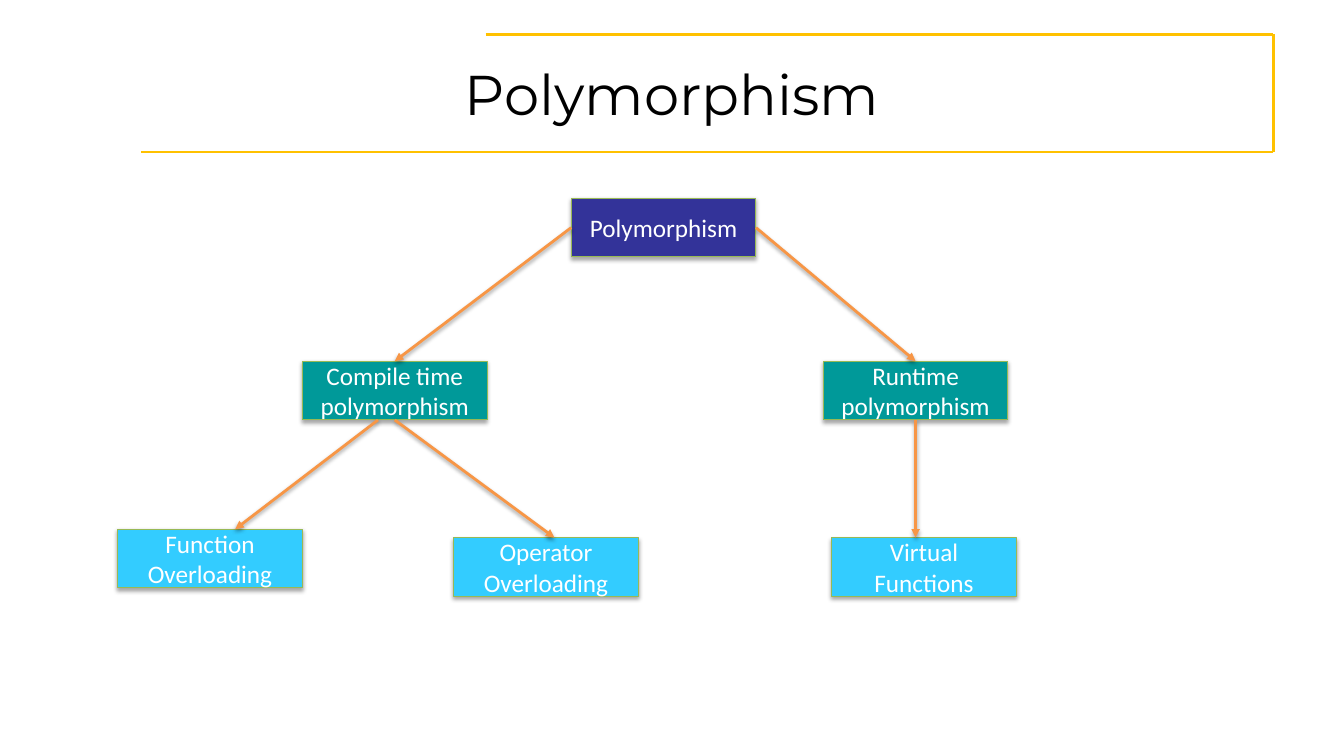
from dataclasses import dataclass

from lxml.etree import SubElement
from pptx import Presentation
from pptx.dml.color import RGBColor
from pptx.enum.shapes import MSO_CONNECTOR as Connector, MSO_SHAPE as Preset
from pptx.enum.text import MSO_ANCHOR as Anchor, PP_ALIGN as Align
from pptx.oxml.ns import qn
from pptx.slide import Slide
from pptx.text.text import TextFrame
from pptx.util import Inches, Length, Pt

COLUMNS, ROWS = 160, 90
SLIDE_WIDTH, SLIDE_HEIGHT = Inches(13.33), Inches(7.5)


@dataclass(frozen=True)
class Theme:
    heading_font: str = "Montserrat"
    body_font: str = "Calibri"
    heading_size: int = 40
    body_size: int = 18
    ink: str = "000000"
    paper: str = "FFFFFF"
    root: str = "333399"
    branch: str = "009999"
    leaf: str = "33CCFF"
    outline: str = "98B955"
    arrow: str = "F79646"
    frame: str = "FFC100"


@dataclass(frozen=True)
class Shadow:
    opacity: int
    blur: float
    distance: float


@dataclass(frozen=True)
class Concept:
    label: str
    column: float
    row: float
    fill: str


@dataclass(frozen=True)
class Stroke:
    start: tuple[float, float]
    end: tuple[float, float]


THEME = Theme()
BOX_COLUMNS, BOX_ROWS = 22, 7
BOX_SHADOW = Shadow(35, 3.1, 1.8)
ARROW_SHADOW = Shadow(38, 3.1, 1.6)

CONCEPTS = (
    Concept("Polymorphism", 68, 23.6, THEME.root),
    Concept("Compile time polymorphism", 36, 43, THEME.branch),
    Concept("Runtime polymorphism", 98, 43, THEME.branch),
    Concept("Function Overloading", 14, 63, THEME.leaf),
    Concept("Operator Overloading", 54, 64, THEME.leaf),
    Concept("Virtual Functions", 99, 64, THEME.leaf),
)
ARROWS = (
    Stroke((68, 27.1), (47, 43)),
    Stroke((90, 27.1), (109, 43)),
    Stroke((45, 50), (28, 63)),
    Stroke((47, 50), (66, 64)),
    Stroke((109, 50), (109, 64)),
)
FRAME = (
    Stroke((57.8, 4.1), (151.6, 4.1)),
    Stroke((151.6, 4.1), (151.6, 18.1)),
    Stroke((151.6, 18.1), (16.8, 18.1)),
)


def across(columns: float) -> Length:
    return Length(round(SLIDE_WIDTH * columns / COLUMNS))


def down(rows: float) -> Length:
    return Length(round(SLIDE_HEIGHT * rows / ROWS))


def rgb(code: str) -> RGBColor:
    return RGBColor.from_string(code)


def set_shadow(properties, shadow: Shadow | None) -> None:
    effects = SubElement(properties, qn("a:effectLst"))
    if shadow is None:
        return
    outer = SubElement(effects, qn("a:outerShdw"), blurRad=str(Pt(shadow.blur)),
                       dist=str(Pt(shadow.distance)), dir="5400000", rotWithShape="0")
    black = SubElement(outer, qn("a:srgbClr"), val=THEME.ink)
    SubElement(black, qn("a:alpha"), val=str(shadow.opacity * 1000))


def write(frame: TextFrame, words: str, font: str, size: int, color: str) -> None:
    frame.word_wrap = True
    frame.vertical_anchor = Anchor.MIDDLE
    paragraph = frame.paragraphs[0]
    paragraph.alignment = Align.CENTER
    run = paragraph.add_run()
    run.text = words
    run.font.name = font
    run.font.size = Pt(size)
    run.font.color.rgb = rgb(color)


def draw_stroke(slide: Slide, stroke: Stroke, color: str,
                shadow: Shadow | None = None, pointed: bool = False) -> None:
    (left, top), (right, bottom) = stroke.start, stroke.end
    connector = slide.shapes.add_connector(
        Connector.STRAIGHT, across(left), down(top), across(right), down(bottom))
    connector.line.color.rgb = rgb(color)
    connector.line.width = Pt(2)
    properties = connector._element.spPr
    if pointed:
        SubElement(properties.find(qn("a:ln")), qn("a:tailEnd"), type="triangle")
    set_shadow(properties, shadow)


def draw_concept(slide: Slide, concept: Concept) -> None:
    box = slide.shapes.add_shape(
        Preset.RECTANGLE, across(concept.column), down(concept.row),
        across(BOX_COLUMNS), down(BOX_ROWS))
    box.fill.solid()
    box.fill.fore_color.rgb = rgb(concept.fill)
    box.line.color.rgb = rgb(THEME.outline)
    box.line.width = Pt(0.75)
    set_shadow(box._element.spPr, BOX_SHADOW)
    write(box.text_frame, concept.label, THEME.body_font, THEME.body_size, THEME.paper)


def draw_heading(slide: Slide) -> None:
    heading = slide.shapes.title
    heading.left, heading.top = across(8), down(3.6)
    heading.width, heading.height = across(144), down(15)
    write(heading.text_frame, "Polymorphism", THEME.heading_font,
          THEME.heading_size, THEME.ink)


def main() -> None:
    deck = Presentation()
    deck.slide_width, deck.slide_height = SLIDE_WIDTH, SLIDE_HEIGHT
    slide = deck.slides.add_slide(deck.slide_layouts.get_by_name("Title Only"))
    for edge in FRAME:
        draw_stroke(slide, edge, THEME.frame)
    draw_heading(slide)
    for concept in CONCEPTS:
        draw_concept(slide, concept)
    for arrow in ARROWS:
        draw_stroke(slide, arrow, THEME.arrow, ARROW_SHADOW, pointed=True)
    deck.save("out.pptx")


if __name__ == "__main__":
    main()
